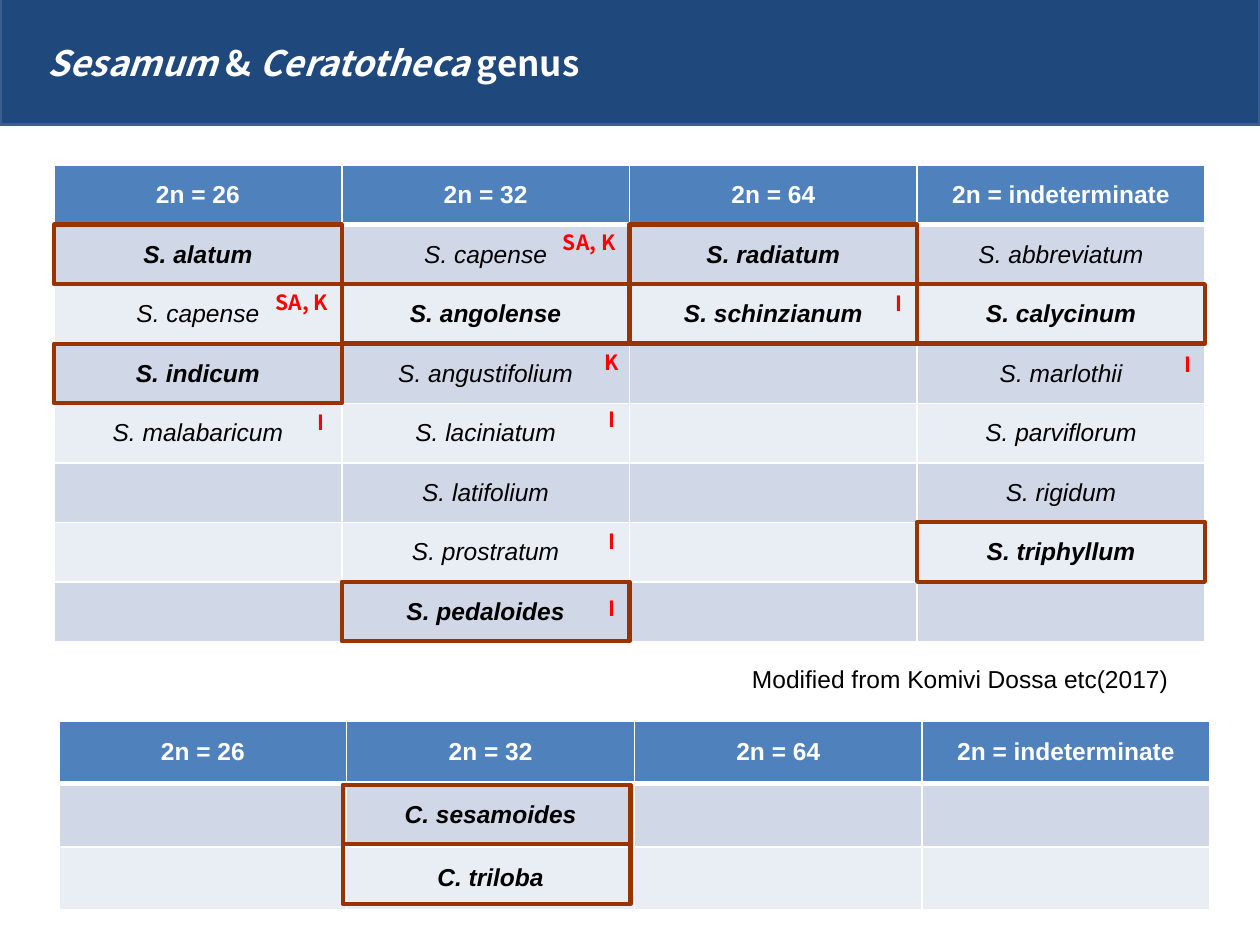
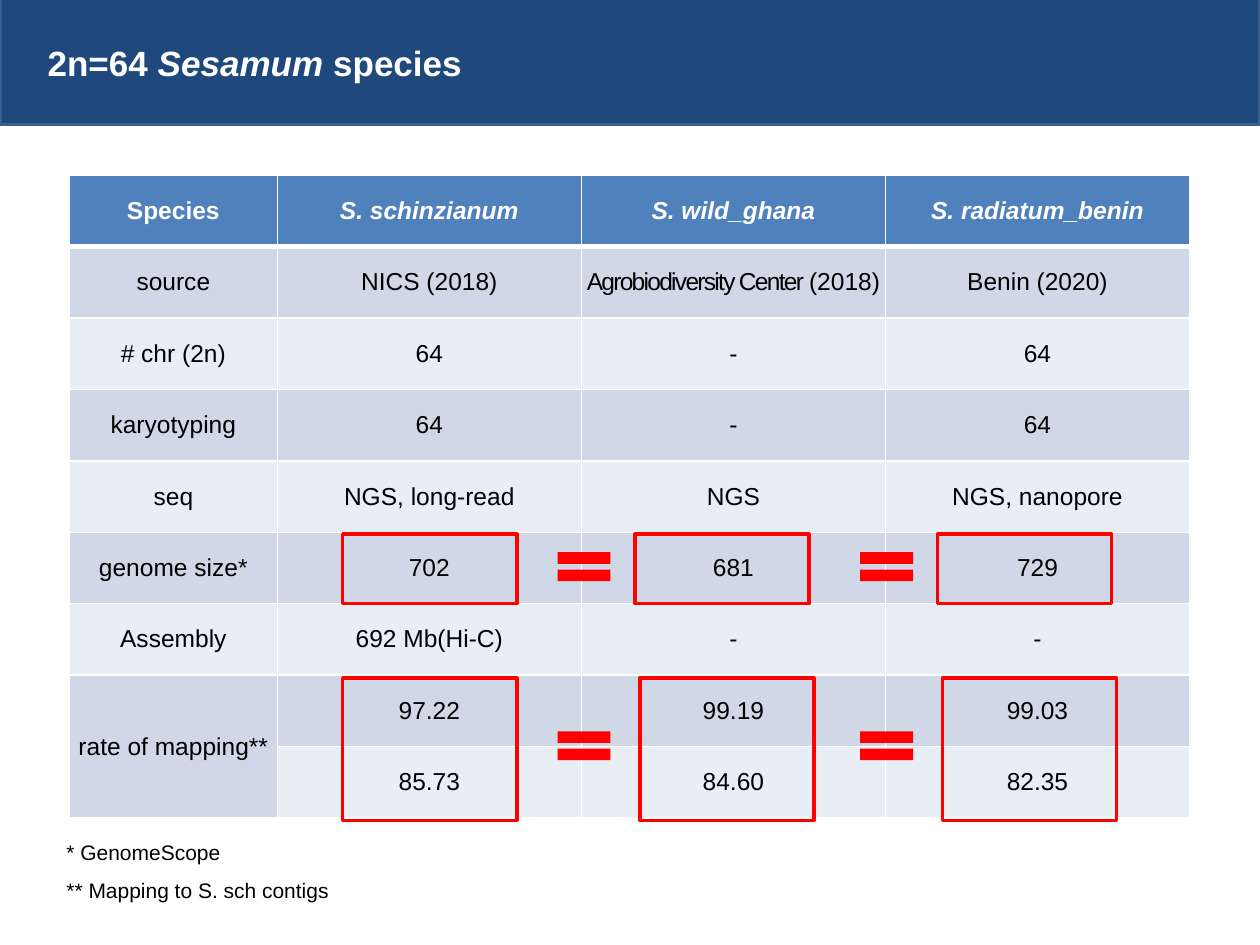
from lxml import etree
from pptx import Presentation
from pptx.dml.color import RGBColor
from pptx.enum.shapes import MSO_SHAPE
from pptx.enum.text import MSO_ANCHOR, PP_ALIGN
from pptx.oxml.ns import qn
from pptx.util import Cm, Pt

RECTANGLE = MSO_SHAPE.RECTANGLE
EQUAL_SIGN = MSO_SHAPE.MATH_EQUAL
MIDDLE = MSO_ANCHOR.MIDDLE
CENTER = PP_ALIGN.CENTER
JUSTIFY = PP_ALIGN.JUSTIFY

WHITE = RGBColor(0xFF, 0xFF, 0xFF)
BLACK = RGBColor(0x00, 0x00, 0x00)
RED = RGBColor(0xFF, 0x00, 0x00)
BROWN = RGBColor(0x99, 0x33, 0x00)
NAVY = RGBColor(0x1F, 0x49, 0x7D)
BAND_EDGE = RGBColor(0x3A, 0x5F, 0x8C)
HEADER_BLUE = RGBColor(0x4F, 0x81, 0xBD)
ROW_FILLS = (RGBColor(0xE9, 0xED, 0xF4), RGBColor(0xD0, 0xD8, 0xE8))

ARIAL = "Arial"
NOTO = "Noto Sans CJK KR"

COLUMN = 5.8
SPECIES_ROW = 1.2
CHROMOSOME_COUNTS = ["2n = 26", "2n = 32", "2n = 64", "2n = indeterminate"]
SESAMUM = [
    ["S. alatum", "S. capense", "S. radiatum", "S. abbreviatum"],
    ["S. capense", "S. angolense", "S. schinzianum", "S. calycinum"],
    ["S. indicum", "S. angustifolium", "", "S. marlothii"],
    ["S. malabaricum", "S. laciniatum", "", "S. parviflorum"],
    ["", "S. latifolium", "", "S. rigidum"],
    ["", "S. prostratum", "", "S. triphyllum"],
    ["", "S. pedaloides", "", ""],
]
CERATOTHECA = [["", "C. sesamoides", "", ""], ["", "C. triloba", "", ""]]
OUTLINED_SPECIES = {
    "S. alatum", "S. radiatum", "S. angolense", "S. schinzianum", "S. calycinum",
    "S. indicum", "S. triphyllum", "S. pedaloides", "C. sesamoides", "C. triloba",
}
ORIGIN_MARKS = [
    ("SA, K", 5.31, 5.72, 1.6), ("SA, K", 11.1, 4.5, 1.6),
    ("I", 6.15, 8.13, 0.64), ("K", 11.94, 6.93, 0.79),
    ("I", 17.81, 5.74, 0.64), ("I", 23.62, 6.96, 0.64),
    ("I", 12.01, 11.89, 0.64), ("I", 12.01, 10.54, 0.64), ("I", 12.01, 8.08, 0.64),
]
GENOME_TABLE = [
    ["Species", "S. schinzianum", "S. wild_ghana", "S. radiatum_benin"],
    ["source", "NICS (2018)", "Agrobiodiversity Center ", "Benin (2020)"],
    ["# chr (2n)", "64", "-", "64"],
    ["karyotyping", "64", "-", "64"],
    ["seq", "NGS, long-read", "NGS", "NGS, nanopore"],
    ["genome size*", "702", "681", "729"],
    ["Assembly", "692 Mb(Hi-C)", "-", "-"],
    ["rate of mapping**", "97.22", "99.19", "99.03"],
    ["", "85.73", "84.60", "82.35"],
]


def write_run(paragraph, text, size, colour, bold=False, italic=False, font=ARIAL):
    run = paragraph.add_run()
    run.text = text
    run.font.size = Pt(size)
    run.font.name = font
    run.font.bold = bold
    run.font.italic = italic
    run.font.color.rgb = colour


def add_text_box(slide, left, top, width, height):
    box = slide.shapes.add_textbox(Cm(left), Cm(top), Cm(width), Cm(height))
    box.text_frame.word_wrap = False
    return box.text_frame


def add_figure(slide, kind, left, top, width, height, fill=None, line=None, line_width=2):
    shape = slide.shapes.add_shape(kind, Cm(left), Cm(top), Cm(width), Cm(height))
    shape.shadow.inherit = False
    if fill is None:
        shape.fill.background()
    else:
        shape.fill.solid()
        shape.fill.fore_color.rgb = fill
    if line is None:
        shape.line.fill.background()
    else:
        shape.line.color.rgb = line
        shape.line.width = Pt(line_width)


def add_title(slide, parts, font):
    add_figure(slide, RECTANGLE, 0, -0.08, 25.4, 2.59, NAVY, BAND_EDGE)
    frame = add_text_box(slide, 0.71, 0.38, 20.6, 1.75)
    frame.word_wrap = True
    frame.vertical_anchor = MIDDLE
    for text, italic in parts:
        write_run(frame.paragraphs[0], text, 20, WHITE, True, italic, font)


def set_borders(cell, row):
    properties = cell._tc.get_or_add_tcPr()
    widths = {"L": 1, "R": 1, "T": 3 if row == 1 else 1, "B": 3 if row == 0 else 1}
    for side, width in widths.items():
        line = etree.SubElement(properties, qn(f"a:ln{side}"), w=str(Pt(width)))
        fill = etree.SubElement(line, qn("a:solidFill"))
        etree.SubElement(fill, qn("a:srgbClr"), val=str(WHITE))


def add_grid(slide, values, left, top, column_widths, row_height, margin=None):
    frame = slide.shapes.add_table(
        len(values), len(column_widths), Cm(left), Cm(top),
        Cm(sum(column_widths)), Cm(row_height * len(values)))
    table = frame.table
    for column, width in zip(table.columns, column_widths):
        column.width = Cm(width)
    for row, texts in enumerate(values):
        table.rows[row].height = Cm(row_height)
        header = row == 0
        for column, text in enumerate(texts):
            cell = table.cell(row, column)
            set_borders(cell, row)
            cell.fill.solid()
            cell.fill.fore_color.rgb = HEADER_BLUE if header else ROW_FILLS[row % 2]
            cell.vertical_anchor = MIDDLE
            if margin is not None:
                cell.margin_left = cell.margin_right = Cm(margin)
                cell.margin_top = cell.margin_bottom = Cm(margin)
            paragraph = cell.text_frame.paragraphs[0]
            paragraph.alignment = CENTER
            if text:
                write_run(paragraph, text, 14, WHITE if header else BLACK,
                          header or text in OUTLINED_SPECIES,
                          text.startswith(("S. ", "C. ")))
    return table


def outline_species(slide, species, left, top):
    for row, names in enumerate(species):
        for column, name in enumerate(names):
            if name in OUTLINED_SPECIES:
                add_figure(slide, RECTANGLE, left + column * COLUMN,
                           top + row * SPECIES_ROW, COLUMN, SPECIES_ROW,
                           line=BROWN, line_width=2.5)


def add_comparison(slide, frame_lefts, frame_top, frame_height, sign_top):
    for left in frame_lefts:
        add_figure(slide, RECTANGLE, left, frame_top, 3.51, frame_height, line=RED)
    for left in (11.05, 17.15):
        add_figure(slide, EQUAL_SIGN, left, sign_top, 1.45, 0.99, fill=RED)


def build_genus_slide(slide):
    add_title(slide, [("Sesamum ", True), ("& ", False),
                      ("Ceratotheca", True), (" genus", False)], NOTO)
    widths = [COLUMN] * len(CHROMOSOME_COUNTS)
    add_grid(slide, [CHROMOSOME_COUNTS] + SESAMUM, 1.09, 3.33, widths, SPECIES_ROW)
    add_grid(slide, [CHROMOSOME_COUNTS] + CERATOTHECA, 1.19, 14.53, widths, 1.27)
    outline_species(slide, SESAMUM, 1.09, 4.53)
    outline_species(slide, CERATOTHECA, 1.11, 15.82)
    credit = add_text_box(slide, 14.91, 13.26, 9.25, 0.86)
    write_run(credit.paragraphs[0], "Modified from Komivi Dossa etc(2017)", 14, BLACK)
    for text, left, top, width in ORIGIN_MARKS:
        mark = add_text_box(slide, left, top, width, 0.76)
        write_run(mark.paragraphs[0], text, 12, RED, bold=True, font=NOTO)


def build_genome_slide(slide):
    add_title(slide, [("2n=64 ", False), ("Sesamum", True), (" species", False)], ARIAL)
    table = add_grid(slide, GENOME_TABLE, 1.4, 3.53, [4.19] + [6.13] * 3, 1.44, 0.02)
    table.cell(7, 0).merge(table.cell(8, 0))
    source = table.cell(1, 2).text_frame.paragraphs[0]
    source.runs[0].font._element.set("spc", "-100")
    write_run(source, "(2018)", 14, BLACK)
    add_comparison(slide, (6.91, 12.8, 18.9), 10.77, 1.4, 10.93)
    add_comparison(slide, (6.91, 12.9, 19), 13.67, 2.87, 14.54)
    notes = add_text_box(slide, 1.09, 16.54, 6.22, 1.7)
    notes.text = "* GenomeScope\n** Mapping to S. sch contigs"
    for paragraph in notes.paragraphs:
        paragraph.alignment = JUSTIFY
        paragraph.line_spacing = 1.5
        font = paragraph.runs[0].font
        font.size = Pt(12)
        font.name = ARIAL
        font.color.rgb = BLACK


def main():
    presentation = Presentation()
    presentation.slide_width = Cm(25.4)
    presentation.slide_height = Cm(19.05)
    blank = presentation.slide_layouts[6]
    for build in (build_genus_slide, build_genome_slide):
        build(presentation.slides.add_slide(blank))
    presentation.save("out.pptx")


if __name__ == "__main__":
    main()
